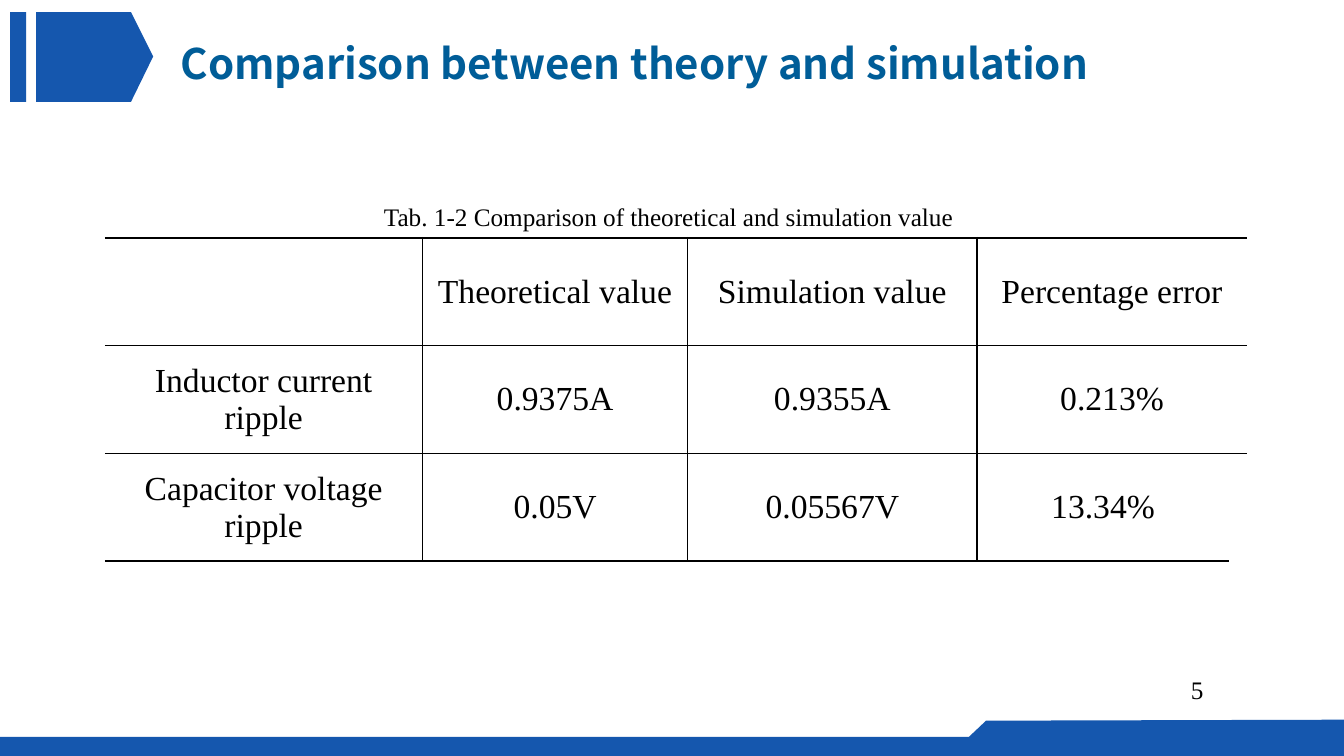
"""Build the slide comparing theoretical and simulated ripple values."""
from typing import NamedTuple

from lxml import etree
from pptx import Presentation, util as u
from pptx.dml.color import RGBColor
from pptx.enum import shapes, text
from pptx.oxml import ns

PX = 9144
BLUE = RGBColor(0x15, 0x57, 0xAE)
TITLE_BLUE = RGBColor(0x00, 0x5D, 0x98)
BLACK = RGBColor(0, 0, 0)
SERIF = "Times New Roman"
SANS = "Noto Sans CJK SC"


class Box(NamedTuple):
    left: int
    top: int
    width: int
    height: int


class Label(NamedTuple):
    words: str
    box: Box
    align: text.PP_ALIGN


BARS = [Box(10, 12, 16, 89), Box(0, 731, 988, 19)]
OUTLINES = [
    [(36, 12), (130, 12), (152, 56), (130, 101), (36, 101)],
    [(941, 750), (978, 715), (1333, 714), (1333, 750)],
]
LABELS = [
    Label("Tab. 1-2 Comparison of theoretical and simulation value",
          Box(371, 195, 591, 40), text.PP_ALIGN.LEFT),
    Label("5", Box(1171, 664, 33, 40), text.PP_ALIGN.CENTER),
]
COLUMNS = [315, 263, 287, 250, 10]
ROW_HEIGHT = 107
ROWS = [
    ["", "Theoretical value", "Simulation value", "Percentage error"],
    ["Inductor current ripple", "0.9375A", "0.9355A", "0.213%"],
    ["Capacitor voltage ripple", "0.05V", "0.05567V", "13.34%"],
]


def emu(box: Box) -> list[int]:
    return [side * PX for side in box]


def style(para, size: int, font: str, colour: RGBColor, bold: bool = False) -> None:
    for span in para.runs:
        span.font.size = u.Pt(size)
        span.font.name = font
        span.font.bold = bold
        span.font.color.rgb = colour


def paint(shape) -> None:
    shape.shadow.inherit = False
    shape.fill.solid()
    shape.fill.fore_color.rgb = BLUE
    shape.line.fill.background()


def add_decoration(page) -> None:
    for bar in BARS:
        paint(page.shapes.add_shape(shapes.MSO_SHAPE.RECTANGLE, *emu(bar)))
    for start, *points in OUTLINES:
        builder = page.shapes.build_freeform(*start, scale=PX)
        builder.add_line_segments(points, close=True)
        paint(builder.convert_to_shape())


def set_title(page) -> None:
    title = page.shapes.title
    title.left, title.top, title.width, title.height = emu(Box(169, 32, 983, 61))
    frame = title.text_frame
    frame.text = "Comparison between theory and simulation"
    frame.auto_size = text.MSO_AUTO_SIZE.NONE
    frame.vertical_anchor = text.MSO_ANCHOR.TOP
    para = frame.paragraphs[0]
    para.alignment = text.PP_ALIGN.LEFT
    style(para, 30, SANS, TITLE_BLUE, bold=True)


def add_label(page, label: Label) -> None:
    frame = page.shapes.add_textbox(*emu(label.box)).text_frame
    frame.word_wrap = False
    frame.text = label.words
    para = frame.paragraphs[0]
    para.alignment = label.align
    style(para, 18, SERIF, BLACK)


def set_borders(cell, widths: dict[str, float]) -> None:
    properties = cell._tc.get_or_add_tcPr()
    for index, (side, width) in enumerate(widths.items()):
        line = etree.Element(ns.qn(f"a:ln{side}"), w=str(u.Pt(width)))
        if width:
            fill = etree.SubElement(line, ns.qn("a:solidFill"))
            etree.SubElement(fill, ns.qn("a:srgbClr"), val=str(BLACK))
        else:
            etree.SubElement(line, ns.qn("a:noFill"))
        properties.insert(index, line)


def add_ripple_table(page) -> None:
    last_row, last_column = len(ROWS) - 1, len(COLUMNS) - 1
    area = Box(104, 236, sum(COLUMNS), ROW_HEIGHT * len(ROWS))
    table = page.shapes.add_table(len(ROWS), len(COLUMNS), *emu(area)).table
    table.first_row = table.horz_banding = False
    for column, width in zip(table.columns, COLUMNS):
        column.width = width * PX
    for r, words in enumerate(ROWS):
        table.rows[r].height = ROW_HEIGHT * PX
        for c in range(len(COLUMNS)):
            cell = table.cell(r, c)
            cell.fill.background()
            cell.margin_left = cell.margin_right = 7 * PX
            cell.margin_top = cell.margin_bottom = 0
            cell.vertical_anchor = text.MSO_ANCHOR.MIDDLE
            bottom = 1.5 if r == last_row else 1
            set_borders(cell, {
                "L": 1 if 0 < c < last_column else 0,
                "R": 1 if c < last_column - 1 else 0,
                "T": 1.5 if r == 0 else 1,
                "B": 0 if (r, c) == (last_row, last_column) else bottom,
            })
            if c < len(words) and words[c]:
                cell.text = words[c]
                para = cell.text_frame.paragraphs[0]
                para.alignment = text.PP_ALIGN.CENTER
                style(para, 24, SERIF, BLACK)
        if r < last_row:
            table.cell(r, last_column - 1).merge(table.cell(r, last_column))


def main() -> None:
    deck = Presentation()
    deck.slide_width, deck.slide_height = 1333 * PX, 750 * PX
    page = deck.slides.add_slide(deck.slide_layouts.get_by_name("Title Only"))
    add_decoration(page)
    set_title(page)
    add_ripple_table(page)
    for label in LABELS:
        add_label(page, label)
    deck.save("out.pptx")


if __name__ == "__main__":
    main()
